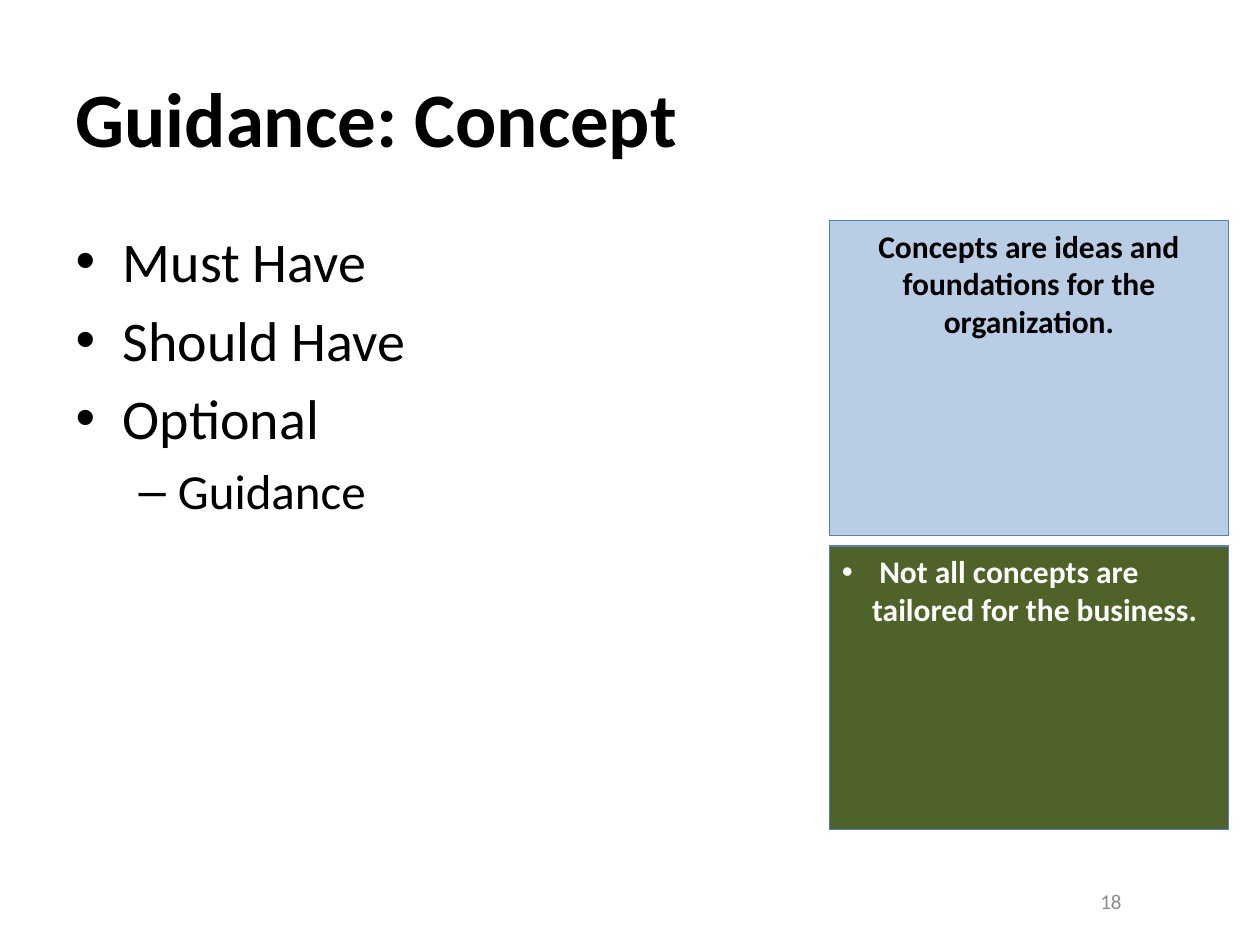
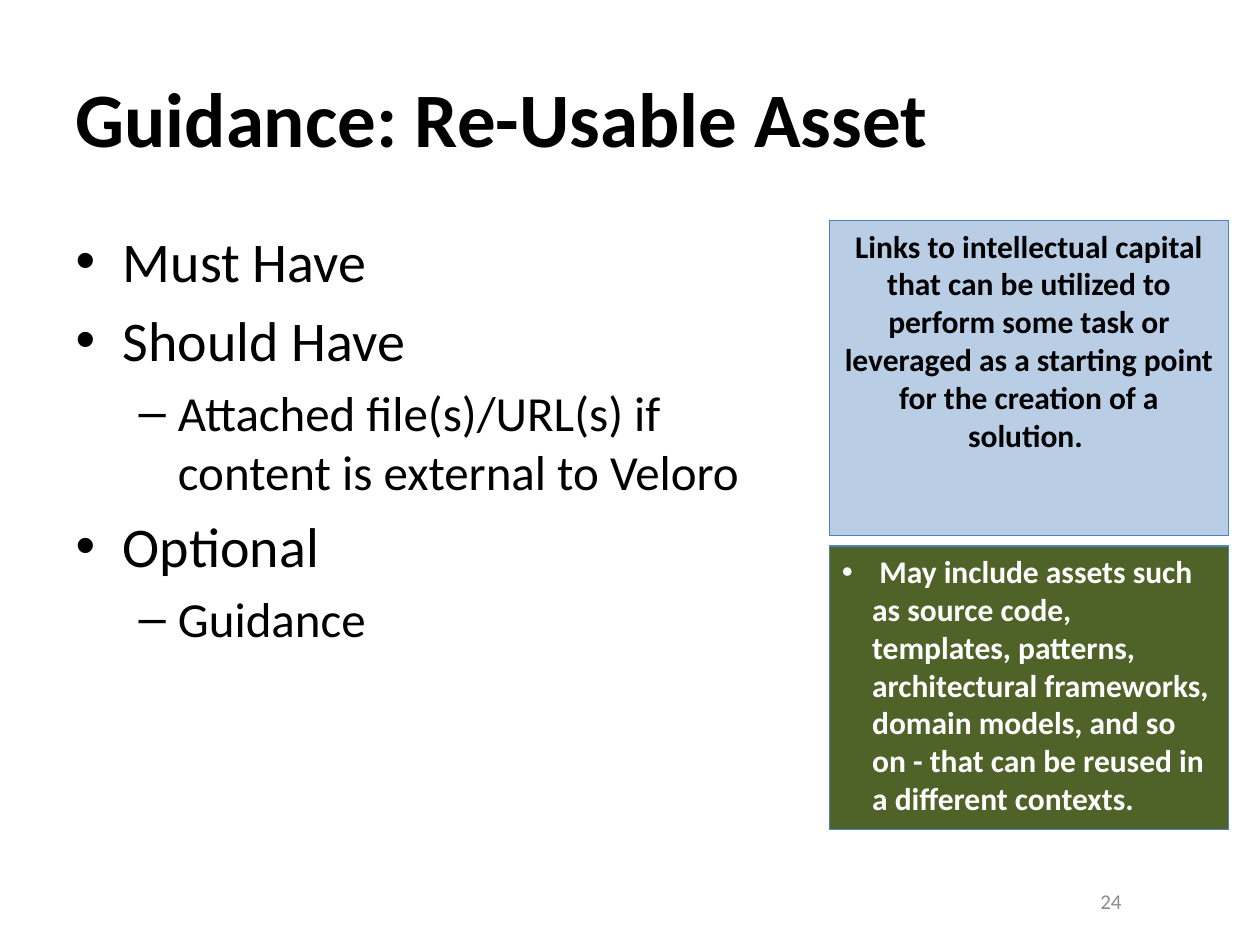
"""Build the two guidance slides: a title, a list and two note boxes on each."""
from dataclasses import dataclass
from typing import NamedTuple

from lxml.etree import SubElement
from pptx import Presentation
from pptx.dml.color import RGBColor as RGB
from pptx.enum.shapes import MSO_SHAPE as Shape
from pptx.enum.text import MSO_ANCHOR as Anchor, PP_ALIGN as Align
from pptx.oxml.ns import qn
from pptx.util import Inches, Pt

CELL = Inches(1) // 12


@dataclass(frozen=True)
class Theme:
    """Colours, font and type sizes used on every slide."""
    font: str = "Calibri"
    ink: RGB = RGB(0x00, 0x00, 0x00)
    light: RGB = RGB(0xFF, 0xFF, 0xFF)
    muted: RGB = RGB(0x8C, 0x8C, 0x8C)
    outline: RGB = RGB(0x4F, 0x81, 0xBD)
    summary_fill: RGB = RGB(0xB9, 0xCD, 0xE5)
    detail_fill: RGB = RGB(0x4F, 0x62, 0x28)
    title_size: int = 44
    list_sizes: tuple[int, ...] = (32, 28)
    note_size: int = 18
    number_size: int = 12


class Area(NamedTuple):
    """A place on the grid of 120 columns by 90 rows."""
    col: float
    row: float
    cols: float
    rows: float

    def lengths(self) -> list[int]:
        """Return left, top, width and height."""
        return [round(n * CELL) for n in self]


class NoteStyle(NamedTuple):
    """The look of one kind of note box."""
    area: Area
    fill: RGB
    ink: RGB
    align: Align
    bulleted: bool


class Item(NamedTuple):
    """A list entry and its level."""
    text: str
    level: int = 0


@dataclass(frozen=True)
class Guidance:
    """The content of one slide."""
    kind: str
    number: int
    items: list[Item]
    summary: str
    detail: str


THEME = Theme()
TITLE = Area(6, 3.6, 108, 15)
BODY = Area(6, 21, 72, 58)
NUMBER = Area(86, 83.4, 22, 4.8)
SUMMARY = NoteStyle(Area(79, 21, 38, 30), THEME.summary_fill, THEME.ink, Align.CENTER, False)
DETAIL = NoteStyle(Area(79, 52, 38, 27), THEME.detail_fill, THEME.light, Align.LEFT, True)

MUST, SHOULD, OPTIONAL = Item("Must Have"), Item("Should Have"), Item("Optional")
ADVICE = Item("Guidance", 1)
SLIDES = [
    Guidance(
        "Concept", 18, [MUST, SHOULD, OPTIONAL, ADVICE],
        "Concepts are ideas and foundations for the organization.",
        " Not all concepts are tailored for the business."),
    Guidance(
        "Re-Usable Asset", 24,
        [MUST, SHOULD,
         Item("Attached file(s)/URL(s) if content is external to Veloro", 1),
         OPTIONAL, ADVICE],
        "Links to intellectual capital that can be utilized to perform some task "
        "or leveraged as a starting point for the creation of a solution. ",
        " May include assets such as source code, templates, patterns, architectural "
        "frameworks, domain models, and so on - that can be reused in a different contexts."),
]


def place(sp, area: Area) -> None:
    """Move a shape to its area."""
    sp.left, sp.top, sp.width, sp.height = area.lengths()


def style(p, size: int, color: RGB, bold: bool = False, align: Align = Align.LEFT) -> None:
    """Set the font and alignment of a paragraph."""
    p.alignment = align
    p.font.name, p.font.size, p.font.bold = THEME.font, Pt(size), bold
    p.font.color.rgb = color


def add_bullet(p) -> None:
    """Give a paragraph a round bullet with a hanging indent."""
    props = p._p.get_or_add_pPr()
    indent = Inches(0.24)
    props.set("marL", str(indent))
    props.set("indent", str(-indent))
    SubElement(props, qn("a:buFont")).set("typeface", "Arial")
    SubElement(props, qn("a:buChar")).set("char", "•")


def fill_title(sp, text: str) -> None:
    """Write the slide title."""
    place(sp, TITLE)
    tf = sp.text_frame
    tf.text, tf.vertical_anchor = text, Anchor.MIDDLE
    style(tf.paragraphs[0], THEME.title_size, THEME.ink, bold=True)


def fill_list(sp, items: list[Item]) -> None:
    """Write the levelled list into the body."""
    place(sp, BODY)
    tf = sp.text_frame
    tf.text = "\n".join(item.text for item in items)
    for p, item in zip(tf.paragraphs, items):
        p.level = item.level
        style(p, THEME.list_sizes[item.level], THEME.ink)


def add_note(slide, text: str, look: NoteStyle) -> None:
    """Draw a filled box with a note at its top."""
    sp = slide.shapes.add_shape(Shape.RECTANGLE, *look.area.lengths())
    sp.shadow.inherit = False
    sp.fill.solid()
    sp.fill.fore_color.rgb = look.fill
    sp.line.color.rgb, sp.line.width = THEME.outline, Pt(0.75)
    tf = sp.text_frame
    tf.text, tf.word_wrap, tf.vertical_anchor = text, True, Anchor.TOP
    p = tf.paragraphs[0]
    p.space_before = Pt(0.2 * THEME.note_size)
    style(p, THEME.note_size, look.ink, bold=True, align=look.align)
    if look.bulleted:
        add_bullet(p)


def add_number(slide, number: int) -> None:
    """Write the page number in the footer."""
    tf = slide.shapes.add_textbox(*NUMBER.lengths()).text_frame
    tf.text, tf.word_wrap, tf.vertical_anchor = str(number), True, Anchor.MIDDLE
    style(tf.paragraphs[0], THEME.number_size, THEME.muted, align=Align.RIGHT)


def add_guidance(prs, guidance: Guidance) -> None:
    """Add one complete guidance slide."""
    slide = prs.slides.add_slide(prs.slide_layouts[1])
    fill_title(slide.shapes.title, f"Guidance: {guidance.kind}")
    add_number(slide, guidance.number)
    fill_list(slide.placeholders[1], guidance.items)
    add_note(slide, guidance.summary, SUMMARY)
    add_note(slide, guidance.detail, DETAIL)


def main() -> None:
    """Build and save the presentation."""
    prs = Presentation()
    prs.slide_width, prs.slide_height = 120 * CELL, 90 * CELL
    for guidance in SLIDES:
        add_guidance(prs, guidance)
    prs.save("out.pptx")


if __name__ == "__main__":
    main()
